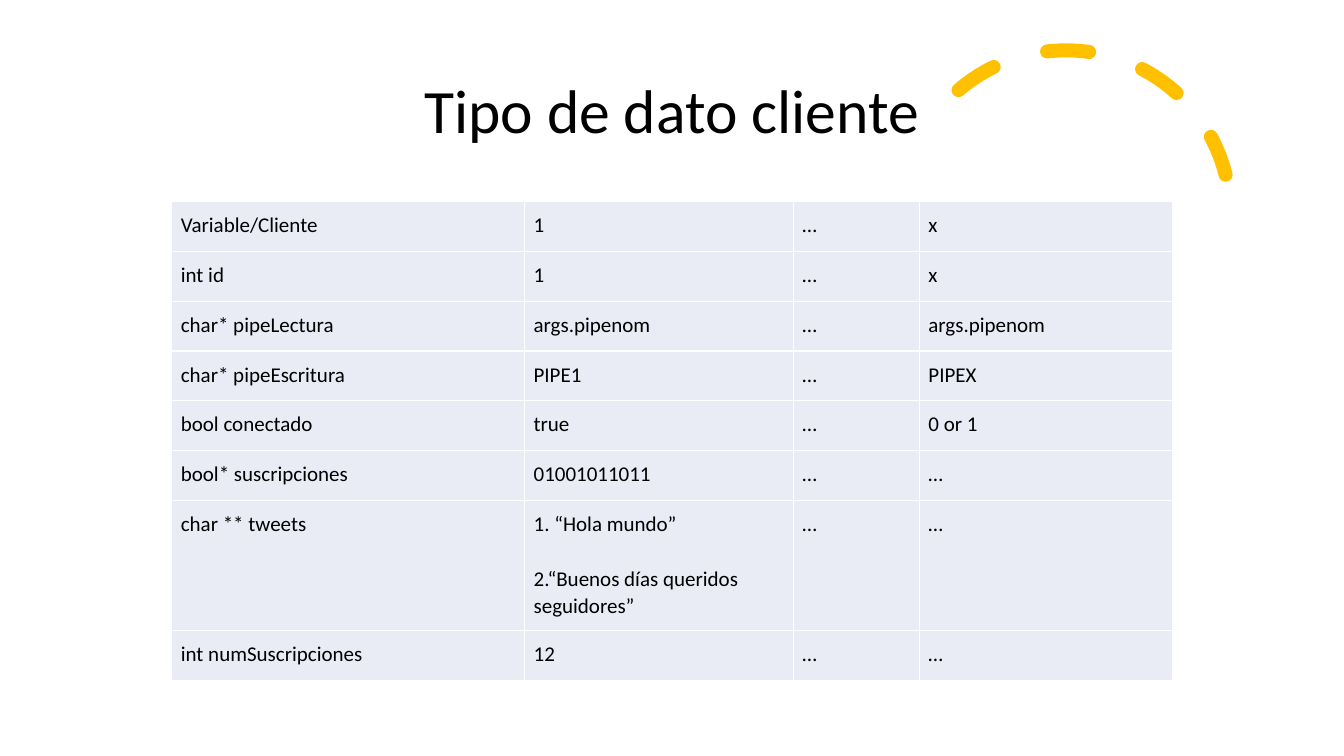
import dataclasses
import pptx
import pptx.util
import pptx.dml.color
import pptx.enum.dml
import pptx.enum.shapes
import pptx.enum.text
import pptx.oxml
import pptx.oxml.ns

Pt = pptx.util.Pt
ns = pptx.oxml.ns


@dataclasses.dataclass(frozen=True)
class Theme:
    font: str = "Calibri"
    ink: str = "000000"
    cell: str = "E9EBF5"
    rule: str = "FFFFFF"
    accent: str = "FFC000"
    title: float = 44
    body: float = 15


def color(code):
    return pptx.dml.color.RGBColor.from_string(code)


class Page:
    def __init__(self, slide, theme):
        self.slide = slide
        self.theme = theme

    def label(self, par, text, size, lead):
        par.line_spacing = lead
        run = par.add_run()
        run.text = text
        run.font.name = self.theme.font
        run.font.size = Pt(size)
        run.font.color.rgb = color(self.theme.ink)

    def title(self, text, left, top, width, height):
        box = self.slide.shapes.add_textbox(Pt(left), Pt(top), Pt(width), Pt(height))
        frame = box.text_frame
        frame.word_wrap = True
        frame.vertical_anchor = pptx.enum.text.MSO_ANCHOR.MIDDLE
        par = frame.paragraphs[0]
        par.alignment = pptx.enum.text.PP_ALIGN.CENTER
        self.label(par, text, self.theme.title, 0.9)

    def arc(self, left, top, size, start, end, turn, weight):
        kind = pptx.enum.shapes.MSO_SHAPE.ARC
        arc = self.slide.shapes.add_shape(kind, Pt(left), Pt(top), Pt(size), Pt(size))
        arc.adjustments[0] = start
        arc.adjustments[1] = end
        arc.rotation = turn
        arc.shadow.inherit = False
        arc.fill.background()
        arc.line.color.rgb = color(self.theme.accent)
        arc.line.width = Pt(weight)
        arc.line.dash_style = pptx.enum.dml.MSO_LINE.DASH
        arc.element.spPr.find(ns.qn("a:ln")).set("cap", "rnd")

    def border(self, cell):
        props = cell._tc.get_or_add_tcPr()
        for spot, side in enumerate("LRTB"):
            props.insert(spot, pptx.oxml.parse_xml(
                f'<a:ln{side} {ns.nsdecls("a")} w="{Pt(1)}"><a:solidFill>'
                f'<a:srgbClr val="{self.theme.rule}"/></a:solidFill></a:ln{side}>'))

    def cell(self, cell, text, inset, gap):
        cell.margin_left = cell.margin_right = Pt(inset)
        cell.margin_top = cell.margin_bottom = Pt(inset)
        cell.fill.solid()
        cell.fill.fore_color.rgb = color(self.theme.cell)
        self.border(cell)
        frame = cell.text_frame
        for spot, line in enumerate(text.split("\n")):
            par = frame.add_paragraph() if spot else frame.paragraphs[0]
            if spot:
                par.space_before = Pt(gap)
            self.label(par, line, self.theme.body, 1.07)

    def table(self, rows, left, top, widths, heights, inset, gap):
        frame = self.slide.shapes.add_table(
            len(rows), len(widths), Pt(left), Pt(top), Pt(sum(widths)), Pt(sum(heights)))
        grid = frame.table
        grid.first_row = grid.horz_banding = False
        for col, width in zip(grid.columns, widths):
            col.width = Pt(width)
        for row, height, texts in zip(grid.rows, heights, rows):
            row.height = Pt(height)
            for cell, text in zip(row.cells, texts):
                self.cell(cell, text, inset, gap)


deck = pptx.Presentation()
deck.slide_width = Pt(960)
deck.slide_height = Pt(540)
page = Page(deck.slides.add_slide(deck.slide_layouts[6]), Theme())

page.arc(643.7, 36, 235.4, start=146.13, end=0, turn=345.8, weight=10)
page.title("Tipo de dato cliente", 66, 28.8, 828, 104.4)

fields = [
    ("Variable/Cliente", "1", "…", "x"),
    ("int id", "1", "…", "x"),
    ("char* pipeLectura", "args.pipenom", "…", "args.pipenom"),
    ("char* pipeEscritura", "PIPE1", "…", "PIPEX"),
    ("bool conectado", "true", "…", "0 or 1"),
    ("bool* suscripciones", "01001011011", "…", "…"),
    ("char ** tweets", "1. “Hola mundo”\n2.“Buenos días queridos seguidores”", "…", "…"),
    ("int numSuscripciones", "12", "…", "…"),
]
tall = [93 if "\n" in row[1] else 35.6 for row in fields]
page.table(fields, 122.6, 144, [252, 192, 90, 181], tall, inset=6.6, gap=19.6)

deck.save("out.pptx")
